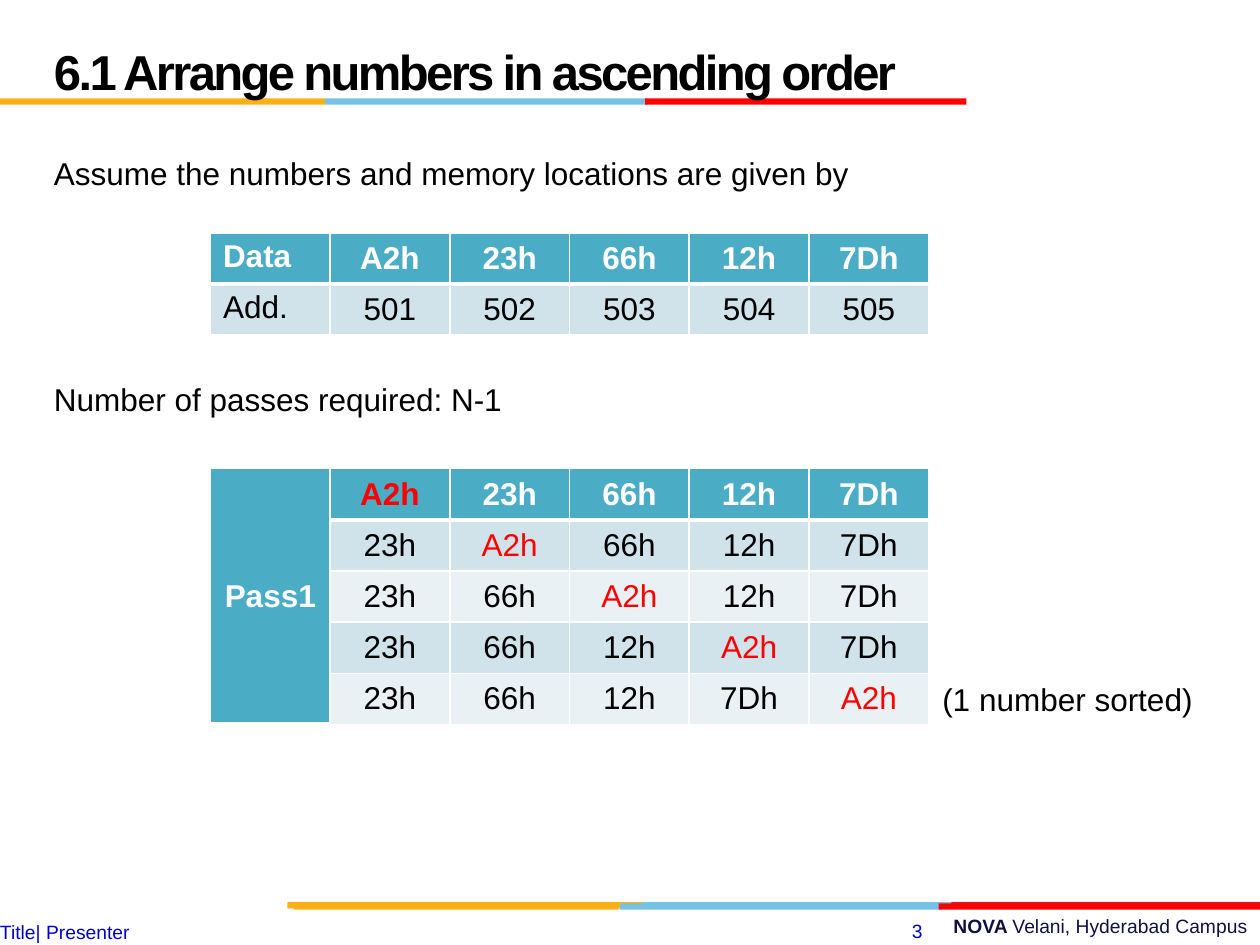
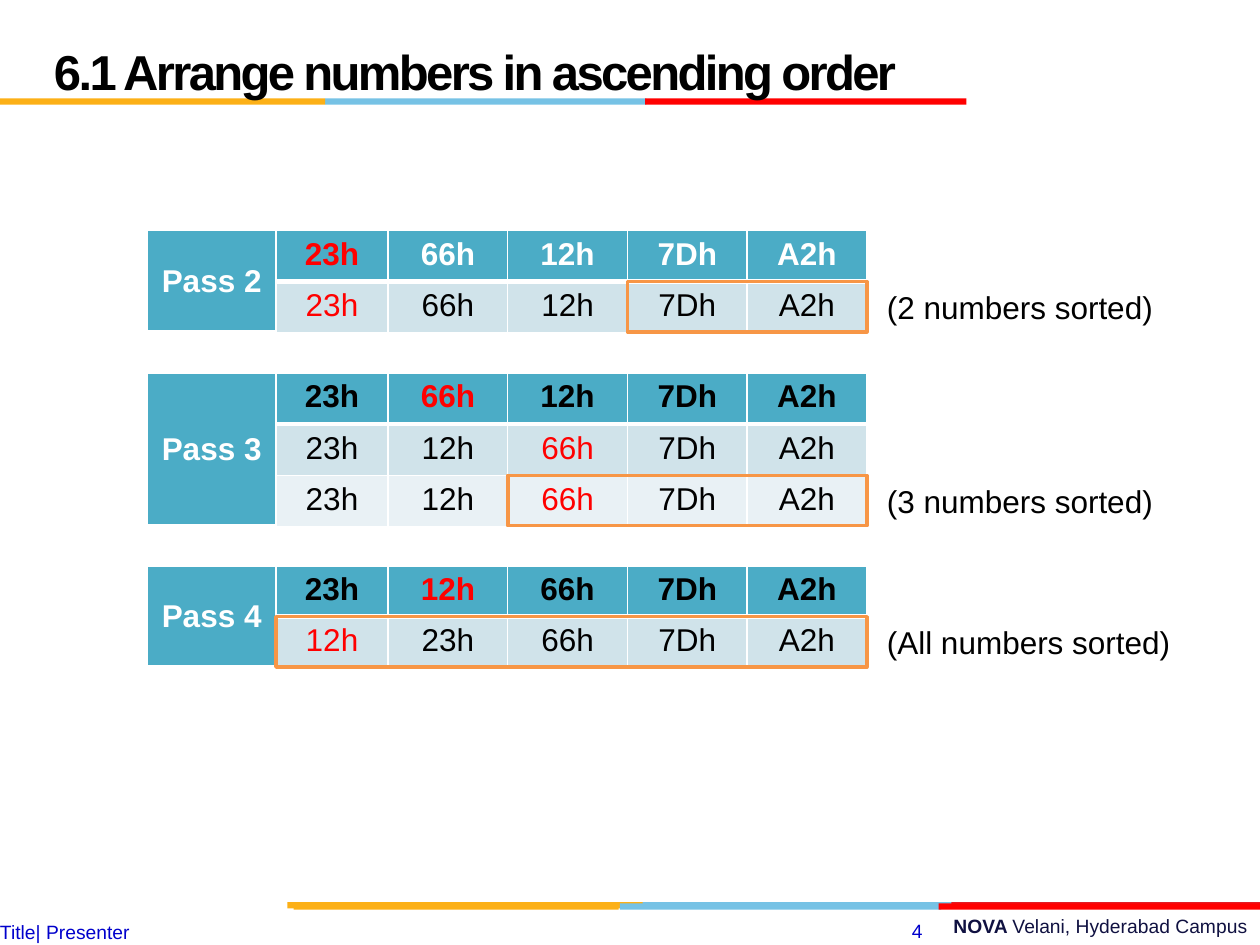
from lxml import etree
from pptx import Presentation
from pptx.dml.color import RGBColor
from pptx.enum.shapes import MSO_SHAPE
from pptx.enum.text import MSO_ANCHOR, PP_ALIGN
from pptx.oxml.ns import qn
from pptx.util import Inches, Pt

FONT = "Arial"
BLACK, WHITE, RED = "000000", "FFFFFF", "FF0000"
YELLOW, SKY, CRIMSON = "FCB017", "76C2E5", "E31C24"
NAVY, BLUE, ORANGE = "101141", "0000CC", "F79646"
HEADER_FILL, ROW_FILLS = "4BACC6", ("D0E3EA", "E9F1F5")

TITLE = "6.1 Arrange numbers in ascending order"
EVEN_COLUMNS = [0.95] * 6
LABEL_COLUMNS = [1.02, 0.89] + [0.95] * 4
BAND_HEIGHT = 0.05
NOTE_HEIGHT = 0.4

# Each band: top, then (left, width, colour) of its segments
BANDS = [
    (7.16, [(5.06, 2.55, SKY), (7.55, 2.45, CRIMSON), (2.28, 2.82, YELLOW)]),
    (7.17, [(4.92, 2.55, SKY), (2.33, 2.58, YELLOW), (7.45, 2.55, RED)]),
    (0.78, [(2.58, 2.55, SKY), (0, 2.58, YELLOW), (5.12, 2.55, RED)]),
]


def rgb(value):
    return RGBColor.from_string(value)


def format_run(run, size, color, bold=False):
    run.font.name = FONT
    run.font.size = Pt(size)
    run.font.bold = bold
    run.font.color.rgb = rgb(color)


def add_text(slide, box, text, size=18, color=BLACK, bold=False,
             align=PP_ALIGN.LEFT, wrap=False):
    shape = slide.shapes.add_textbox(*map(Inches, box))
    shape.text_frame.word_wrap = wrap
    shape.text_frame.text = text
    paragraph = shape.text_frame.paragraphs[0]
    paragraph.alignment = align
    format_run(paragraph.runs[0], size, color, bold)
    return shape


def add_rectangle(slide, box, fill=None, line=None):
    shape = slide.shapes.add_shape(MSO_SHAPE.RECTANGLE, *map(Inches, box))
    shape.shadow.inherit = False
    if fill:
        shape.fill.solid()
        shape.fill.fore_color.rgb = rgb(fill)
    else:
        shape.fill.background()
    if line:
        shape.line.color.rgb = rgb(line)
        shape.line.width = Pt(2)
    else:
        shape.line.fill.background()


def add_title(slide, box):
    frame = add_text(slide, box, TITLE, 28, bold=True, wrap=True).text_frame
    frame.vertical_anchor = MSO_ANCHOR.MIDDLE
    paragraph = frame.paragraphs[0]
    paragraph.line_spacing = Pt(36)
    paragraph.runs[0]._r.get_or_add_rPr().set("spc", "-150")


def add_footer(slide, number):
    campus = add_text(slide, (3.58, 7.21, 6.42, 0.29), "NOVA ", 11, NAVY,
                      True, PP_ALIGN.RIGHT, True)
    run = campus.text_frame.paragraphs[0].add_run()
    run.text = "Velani, Hyderabad Campus"
    format_run(run, 11, NAVY)
    add_text(slide, (6.67, 7.25, 0.75, 0.28), str(number), 11, BLUE,
             align=PP_ALIGN.RIGHT, wrap=True)
    frame = add_text(slide, (0, 7.3, 6.5, 0.19), "Title| Presenter", 11, BLUE,
                     wrap=True).text_frame
    frame.margin_left = frame.margin_top = 0
    frame.margin_right = frame.margin_bottom = 0


def add_base_slide(presentation, number):
    """Add a slide with the shared bands, footer and title."""
    slide = presentation.slides.add_slide(presentation.slide_layouts[6])
    for top, segments in BANDS:
        for left, width, color in segments:
            add_rectangle(slide, (left, top, width, BAND_HEIGHT), color)
    add_footer(slide, number)
    add_title(slide, (0.33, 0.17, 6.92, 0.75))
    return slide


def set_borders(cell, bottom):
    properties = cell._tc.get_or_add_tcPr()
    for side, width in (("L", 1), ("R", 1), ("T", 1), ("B", bottom)):
        line = etree.SubElement(properties, qn(f"a:ln{side}"), w=str(Pt(width)))
        fill = etree.SubElement(line, qn("a:solidFill"))
        etree.SubElement(fill, qn("a:srgbClr"), val=WHITE)


def style_cell(cell, text, fill, color, header, align, anchor):
    set_borders(cell, 3 if header else 1)
    cell.fill.solid()
    cell.fill.fore_color.rgb = rgb(fill)
    cell.vertical_anchor = anchor
    cell.text_frame.text = text
    paragraph = cell.text_frame.paragraphs[0]
    paragraph.alignment = align
    for run in paragraph.runs:
        format_run(run, 18, color, header)


def add_grid(slide, box, columns, rows, label=None, moving=None,
             header_color=WHITE, anchor=MSO_ANCHOR.MIDDLE):
    """Add a table; a label spans the first column, the moving value is red."""
    frame = slide.shapes.add_table(len(rows), len(columns), *map(Inches, box))
    table = frame.table
    table.first_row = table.horz_banding = False
    for column, width in zip(table.columns, columns):
        column.width = Inches(width)
    for index, values in enumerate(rows):
        table.rows[index].height = Inches(box[3] / len(rows))
        header = index == 0
        if label:
            values = [label if header else ""] + values
        for position, text in enumerate(values):
            first = position == 0
            in_header = header or bool(label and first)
            fill = HEADER_FILL if in_header else ROW_FILLS[(index - 1) % 2]
            if text == moving:
                color = RED
            elif label and first:
                color = WHITE
            else:
                color = header_color if header else BLACK
            align, cell_anchor = PP_ALIGN.CENTER, anchor
            if first and label:
                cell_anchor = MSO_ANCHOR.MIDDLE
            elif first:
                align, cell_anchor = PP_ALIGN.LEFT, MSO_ANCHOR.TOP
            style_cell(table.cell(index, position), text, fill, color,
                       header, align, cell_anchor)
    if label:
        table.cell(0, 0).merge(table.cell(len(rows) - 1, 0))


def add_pass(slide, box, columns, label, lines, moving, note, note_width,
             gap=0, sorted_count=0, **style):
    """Add one sorting pass, its note and a frame round the sorted numbers."""
    rows = [line.split() for line in lines]
    add_grid(slide, box, columns, rows, label, moving, **style)
    left, top, width, height = box
    right = left + width
    last_top = top + height - height / len(rows)
    if sorted_count:
        frame_width = sum(columns[-sorted_count:])
        add_rectangle(slide, (right - frame_width, last_top, frame_width,
                              NOTE_HEIGHT), line=ORANGE)
    add_text(slide, (right + gap, last_top, note_width, NOTE_HEIGHT), note)


def build_first_pass(presentation):
    slide = add_base_slide(presentation, 3)
    add_text(slide, (0.33, 1.17, 6.57, 0.4),
             "Assume the numbers and memory locations are given by")
    add_grid(slide, (1.67, 1.85, 5.71, 0.81), EVEN_COLUMNS,
             ["Data A2h 23h 66h 12h 7Dh".split(),
              "Add. 501 502 503 504 505".split()])
    add_text(slide, (0.33, 2.97, 3.79, 0.4), "Number of passes required: N-1")
    add_pass(slide, (1.67, 3.72, 5.71, 2.03), EVEN_COLUMNS, "Pass1",
             ["A2h 23h 66h 12h 7Dh", "23h A2h 66h 12h 7Dh",
              "23h 66h A2h 12h 7Dh", "23h 66h 12h A2h 7Dh",
              "23h 66h 12h 7Dh A2h"],
             "A2h", "(1 number sorted)", 2.21)


def build_later_passes(presentation):
    slide = add_base_slide(presentation, 4)
    passes = [
        (1.83, 0.81, "Pass 2", ["23h 66h 12h 7Dh A2h", "23h 66h 12h 7Dh A2h"],
         "23h", "(2 numbers sorted)", 2.33, 2, WHITE),
        (2.96, 1.22, "Pass 3", ["23h 66h 12h 7Dh A2h", "23h 12h 66h 7Dh A2h",
                                "23h 12h 66h 7Dh A2h"],
         "66h", "(3 numbers sorted)", 2.33, 3, BLACK),
        (4.49, 0.81, "Pass 4", ["23h 12h 66h 7Dh A2h", "12h 23h 66h 7Dh A2h"],
         "12h", "(All numbers sorted)", 2.47, 5, BLACK),
    ]
    for (top, height, label, lines, moving, note, note_width, sorted_count,
         header_color) in passes:
        add_pass(slide, (1.17, top, 5.71, height), LABEL_COLUMNS, label, lines,
                 moving, note, note_width, gap=0.06, sorted_count=sorted_count,
                 header_color=header_color, anchor=MSO_ANCHOR.TOP)


def main():
    presentation = Presentation()
    presentation.slide_width = Inches(10)
    presentation.slide_height = Inches(7.5)
    build_first_pass(presentation)
    build_later_passes(presentation)
    presentation.save("out.pptx")


if __name__ == "__main__":
    main()
